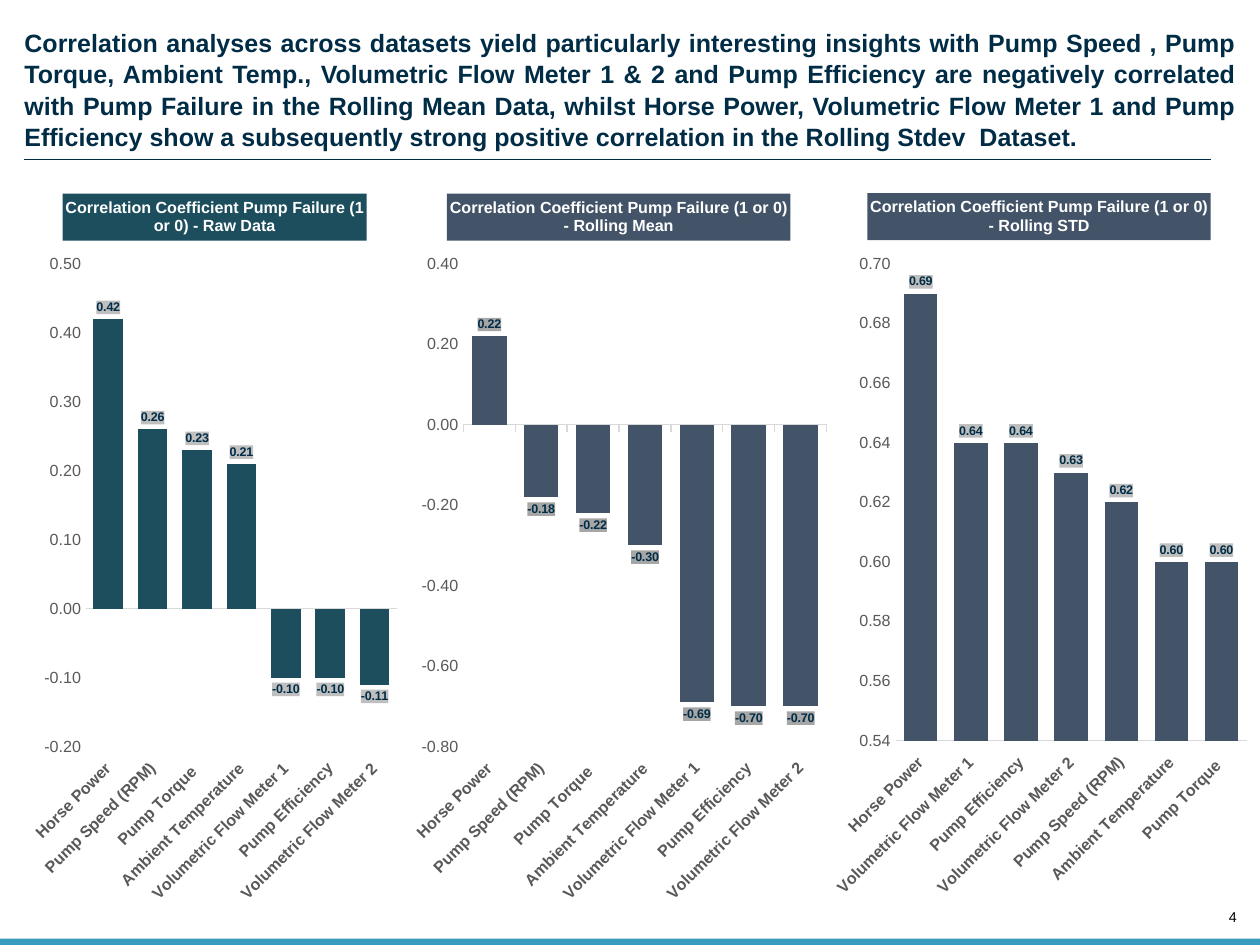
from dataclasses import dataclass
from typing import Any

from lxml import etree
from pptx import Presentation
from pptx import util as u
from pptx.chart import data as chart_data
from pptx.dml.color import RGBColor
from pptx.enum import chart as charts, shapes, text
from pptx.oxml import parse_xml
from pptx.oxml.ns import nsdecls, qn

NAVY = RGBColor(0x00, 0x2C, 0x46)
TEAL = RGBColor(0x1C, 0x4E, 0x5E)
SLATE = RGBColor(0x43, 0x54, 0x69)
BLUE = RGBColor(0x37, 0x9B, 0xBD)
BLACK = RGBColor(0x00, 0x00, 0x00)
WHITE = RGBColor(0xFF, 0xFF, 0xFF)
AXIS_TEXT = RGBColor(0x59, 0x59, 0x59)
AXIS_LINE = RGBColor(0xD9, 0xD9, 0xD9)
LIGHT_GREY = RGBColor(0xBF, 0xBF, 0xBF)
MID_GREY = RGBColor(0xA6, 0xA6, 0xA6)

HEADLINE = (
    "Correlation analyses across datasets yield particularly interesting insights with "
    "Pump Speed , Pump Torque, Ambient Temp., Volumetric Flow Meter 1 & 2 and Pump "
    "Efficiency are negatively correlated with Pump Failure in the Rolling Mean Data, "
    "whilst Horse Power, Volumetric Flow Meter 1 and Pump Efficiency show a subsequently "
    "strong positive correlation in the Rolling Stdev  Dataset."
)
POWER, SPEED, TORQUE = "Horse Power", "Pump Speed (RPM)", "Pump Torque "
TEMPERATURE, EFFICIENCY = "Ambient Temperature", "Pump Efficiency"
FLOW_1, FLOW_2 = "Volumetric Flow Meter 1", "Volumetric Flow Meter 2"
MEAN_ORDER = (POWER, SPEED, TORQUE, TEMPERATURE, FLOW_1, EFFICIENCY, FLOW_2)
STD_ORDER = (POWER, FLOW_1, EFFICIENCY, FLOW_2, SPEED, TEMPERATURE, TORQUE)


@dataclass(frozen=True)
class Box:
    left: float
    top: float
    width: float
    height: float

    def points(self) -> tuple[u.Pt, ...]:
        return tuple(u.Pt(n) for n in (self.left, self.top, self.width, self.height))


@dataclass(frozen=True)
class CorrelationChart:
    dataset: str
    frame: Box
    plot: Box
    categories: tuple[str, ...]
    values: tuple[float, ...]
    scale: tuple[float, float, float]
    color: RGBColor
    label_fill: RGBColor
    tick: Any = charts.XL_TICK_MARK.NONE


CHARTS = (
    CorrelationChart("Raw Data", Box(13.7, 95.8, 213.1, 419), Box(48.2, 147.8, 174.1, 270.4),
                     MEAN_ORDER, (0.42, 0.26, 0.23, 0.21, -0.1, -0.1, -0.11),
                     (-0.2, 0.5, 0.1), TEAL, LIGHT_GREY),
    CorrelationChart("Rolling Mean", Box(226.1, 95.8, 241.9, 419), Box(259.5, 147.8, 203.5, 270.4),
                     MEAN_ORDER, (0.22, -0.18, -0.22, -0.3, -0.69, -0.7, -0.7),
                     (-0.8, 0.4, 0.2), SLATE, MID_GREY, charts.XL_TICK_MARK.OUTSIDE),
    CorrelationChart("Rolling STD", Box(461.5, 95.8, 241.9, 411.1), Box(501.6, 147.8, 196.5, 267.1),
                     STD_ORDER, (0.69, 0.64, 0.64, 0.63, 0.62, 0.6, 0.6),
                     (0.54, 0.7, 0.02), SLATE, LIGHT_GREY),
)


def set_values(target: Any, values: dict[str, Any]) -> None:
    for name, value in values.items():
        setattr(target, name, value)


def set_font(font: Any, size: float, color: RGBColor, bold: bool = False) -> None:
    set_values(font, {"name": "Arial", "size": u.Pt(size), "bold": bold})
    font.color.rgb = color


def set_fill(fill: Any, color: RGBColor) -> None:
    fill.solid()
    fill.fore_color.rgb = color


def add_text(slide: Any, box: Box, content: str, size: float, color: RGBColor,
             bold: bool, frame_values: dict[str, Any], paragraph_values: dict[str, Any]) -> None:
    frame = slide.shapes.add_textbox(*box.points()).text_frame
    margins = dict.fromkeys(("margin_left", "margin_top", "margin_right", "margin_bottom"), 0)
    set_values(frame, margins | frame_values)
    paragraph = frame.paragraphs[0]
    set_values(paragraph, paragraph_values)
    run = paragraph.add_run()
    run.text = content
    set_font(run.font, size, color, bold)


def set_layout(parent: Any, index: int, values: dict[str, Any]) -> None:
    for old in parent.findall(qn("c:layout")):
        parent.remove(old)
    layout = parse_xml(f"<c:layout {nsdecls('c')}><c:manualLayout/></c:layout>")
    for name, value in values.items():
        etree.SubElement(layout[0], qn(f"c:{name}")).set("val", str(value))
    parent.insert(index, layout)


def add_title(chart: Any, item: CorrelationChart) -> None:
    chart.has_title = True
    title = chart.chart_title
    paragraph = title.text_frame.paragraphs[0]
    paragraph.alignment = text.PP_ALIGN.CENTER
    run = paragraph.add_run()
    run.text = f"Correlation Coefficient Pump Failure (1 or 0) - {item.dataset}"
    set_font(run.font, 9, WHITE, True)
    set_fill(title.format.fill, item.color)
    set_layout(title._element, 1, {"xMode": "edge", "yMode": "edge", "x": 0.1, "y": 0.03})


def style_axes(chart: Any, item: CorrelationChart) -> None:
    none = charts.XL_TICK_MARK.NONE
    category, value = chart.category_axis, chart.value_axis
    shared = {"has_major_gridlines": False, "minor_tick_mark": none}
    set_values(category, shared | {"major_tick_mark": item.tick,
                                   "tick_label_position": charts.XL_TICK_LABEL_POSITION.LOW})
    set_font(category.tick_labels.font, 9, AXIS_TEXT, True)
    category.format.line.color.rgb = AXIS_LINE
    category.format.line.width = u.Pt(0.75)
    body = category._element.find(qn("c:txPr")).find(qn("a:bodyPr"))
    body.set("rot", "-2700000")
    body.set("vert", "horz")

    low, high, step = item.scale
    set_values(value, shared | {"major_tick_mark": none, "minimum_scale": low,
                                "maximum_scale": high, "major_unit": step})
    set_values(value.tick_labels, {"number_format": "0.00", "number_format_is_linked": False})
    set_font(value.tick_labels.font, 9, AXIS_TEXT)
    value.format.line.fill.background()


def style_bars(chart: Any, item: CorrelationChart) -> None:
    plot = chart.plots[0]
    set_values(plot, {"gap_width": 50, "overlap": 100, "vary_by_categories": False})
    series = plot.series[0]
    series.invert_if_negative = False
    set_fill(series.format.fill, item.color)
    labels = series.data_labels
    set_values(labels, {"show_value": True, "number_format": "0.00",
                        "number_format_is_linked": False,
                        "position": charts.XL_LABEL_POSITION.OUTSIDE_END})
    set_font(labels.font, 7, NAVY, True)
    labels._element.find(qn("c:txPr")).addprevious(parse_xml(
        f"<c:spPr {nsdecls('c', 'a')}><a:solidFill>"
        f'<a:srgbClr val="{item.label_fill}"/></a:solidFill></c:spPr>'))


def add_correlation_chart(slide: Any, item: CorrelationChart) -> None:
    data = chart_data.CategoryChartData(number_format="0.00")
    data.categories = item.categories
    data.add_series("Series 1", item.values)
    chart = slide.shapes.add_chart(
        charts.XL_CHART_TYPE.COLUMN_CLUSTERED, *item.frame.points(), data).chart
    chart.has_legend = False
    set_font(chart.font, 10, BLACK)
    add_title(chart, item)
    style_axes(chart, item)
    style_bars(chart, item)
    frame, plot = item.frame, item.plot
    set_layout(chart._chartSpace.chart.plotArea, 0, {
        "layoutTarget": "inner", "xMode": "edge", "yMode": "edge",
        "x": (plot.left - frame.left) / frame.width,
        "y": (plot.top - frame.top) / frame.height,
        "w": plot.width / frame.width, "h": plot.height / frame.height})


presentation = Presentation()
set_values(presentation, {"slide_width": u.Pt(705.6), "slide_height": u.Pt(529.2)})
slide = presentation.slides.add_slide(presentation.slide_layouts[6])

add_text(slide, Box(682.6, 509, 10, 9.4), "4", 8, BLACK, False,
         {"word_wrap": False, "vertical_anchor": text.MSO_ANCHOR.BOTTOM},
         {"alignment": text.PP_ALIGN.RIGHT})
footer = slide.shapes.add_shape(
    shapes.MSO_SHAPE.RECTANGLE, *Box(0, 525.6, 705.6, 3.6).points())
footer.shadow.inherit = False
set_fill(footer.fill, BLUE)
footer.line.fill.background()

add_text(slide, Box(13.7, 14.4, 679, 67.7), HEADLINE, 14, NAVY, True,
         {"word_wrap": True},
         {"alignment": text.PP_ALIGN.JUSTIFY, "line_spacing": 1.05})
rule = slide.shapes.add_connector(
    shapes.MSO_CONNECTOR.STRAIGHT, u.Pt(13.7), u.Pt(89.3), u.Pt(678.2), u.Pt(89.3))
rule.line.color.rgb = NAVY
rule.line.width = u.Pt(0.75)
etree.SubElement(rule._element.spPr, qn("a:effectLst"))

for correlation_chart in CHARTS:
    add_correlation_chart(slide, correlation_chart)

presentation.save("out.pptx")
